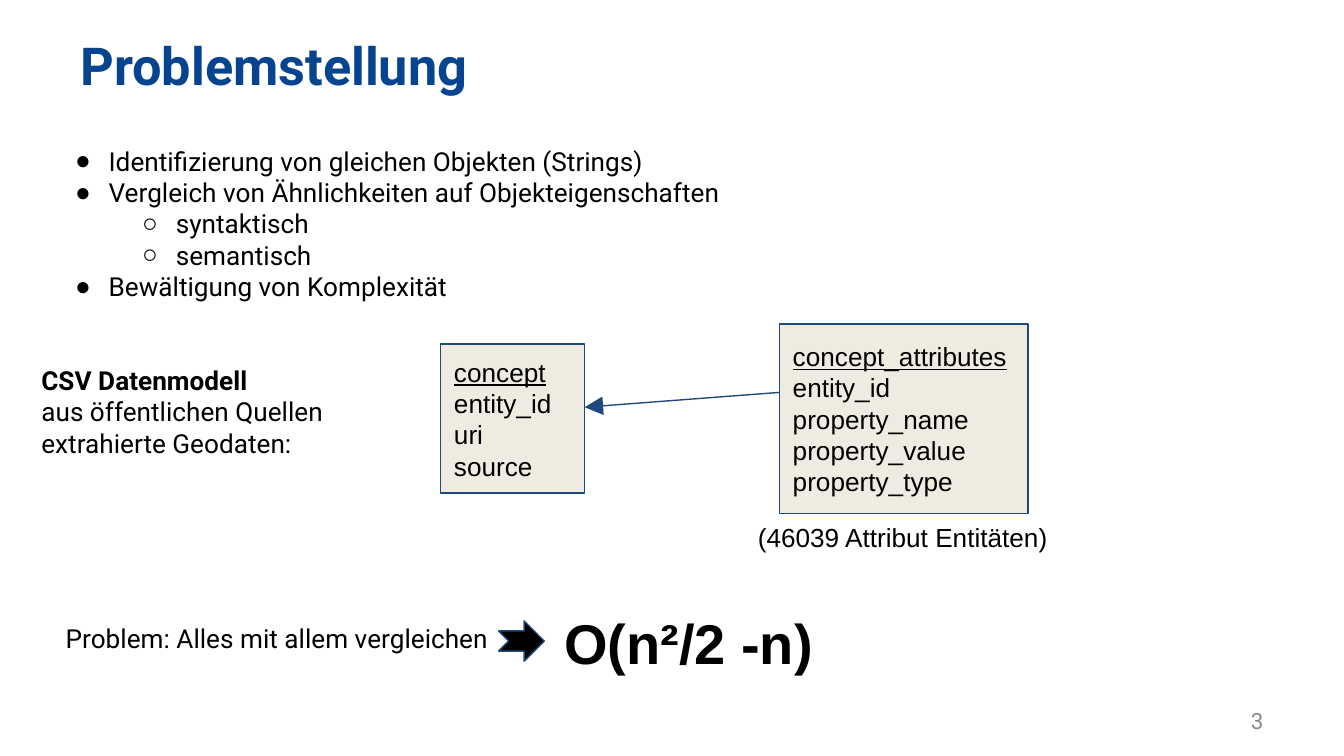
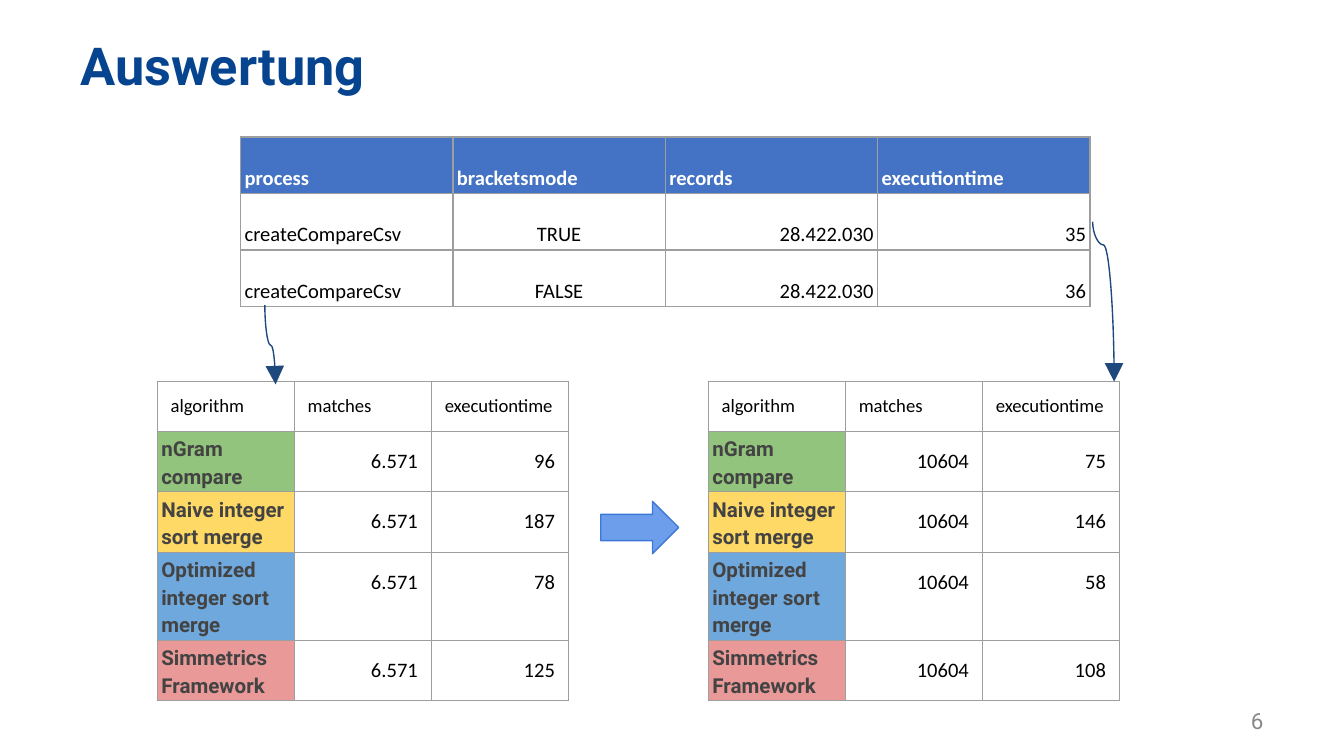
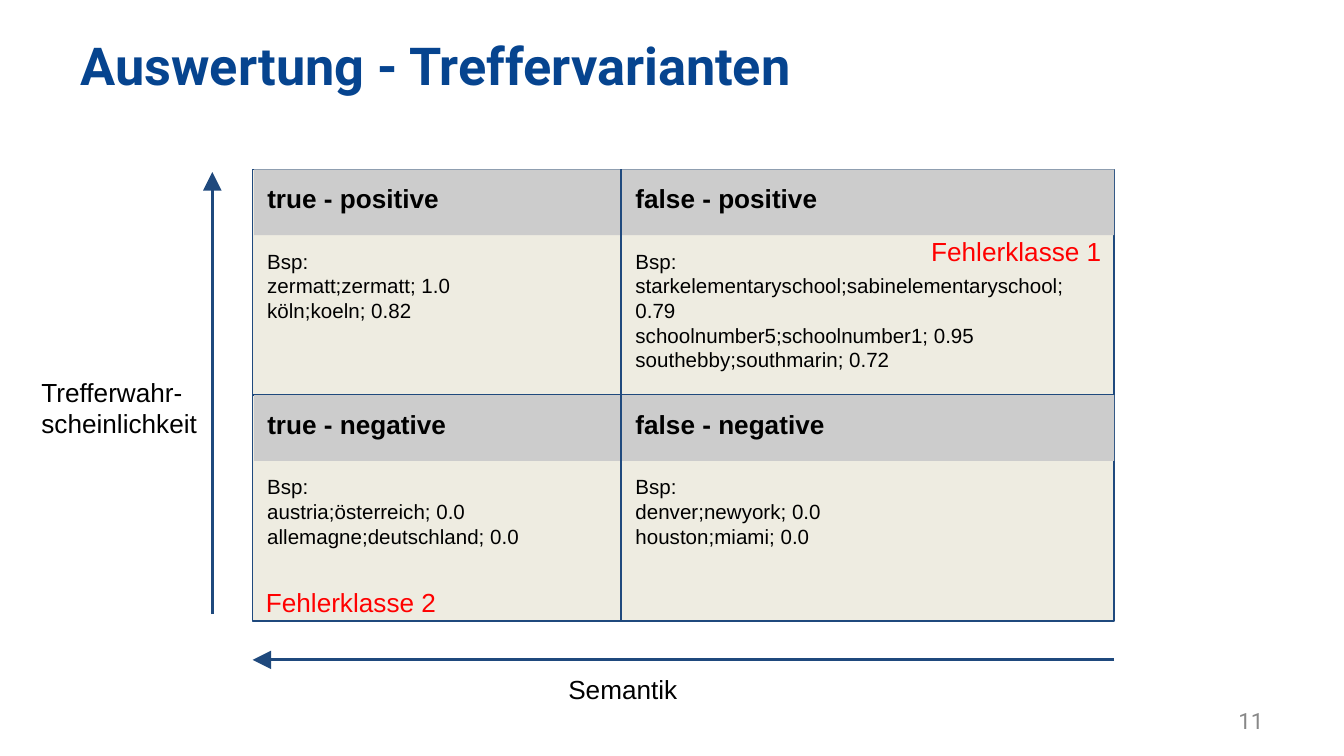
from dataclasses import dataclass, replace

from lxml import etree
from pptx import Presentation
from pptx.dml.color import RGBColor
from pptx.enum.shapes import MSO_CONNECTOR, MSO_SHAPE
from pptx.enum.text import MSO_ANCHOR, MSO_AUTO_SIZE, PP_ALIGN
from pptx.oxml.ns import qn
from pptx.util import Inches, Pt

LEFT, CENTER, RIGHT = PP_ALIGN.LEFT, PP_ALIGN.CENTER, PP_ALIGN.RIGHT
TOP, MIDDLE, BOTTOM = MSO_ANCHOR.TOP, MSO_ANCHOR.MIDDLE, MSO_ANCHOR.BOTTOM
STRAIGHT, CURVE = MSO_CONNECTOR.STRAIGHT, MSO_CONNECTOR.CURVE
RECTANGLE = MSO_SHAPE.RECTANGLE
RIGHT_ARROW, NOTCHED_ARROW = MSO_SHAPE.RIGHT_ARROW, MSO_SHAPE.NOTCHED_RIGHT_ARROW
NO_AUTOFIT = MSO_AUTO_SIZE.NONE
TITLE_ONLY = 5

COLORS = {
    "title": "06448F",
    "number": "888888",
    "text": "000000",
    "white": "FFFFFF",
    "line": "1F497D",
    "panel": "EEECE1",
    "heading": "CCCCCC",
    "error": "FF0000",
    "border": "9E9E9E",
    "table_head": "4472C4",
    "algorithm": "434343",
    "arrow": "6D9EEB",
    "arrow_line": "3C78D8",
    "green": "93C47D",
    "yellow": "FFD966",
    "blue": "6FA8DC",
    "red": "EA9999",
}


@dataclass(frozen=True)
class Style:
    size: float
    font: str = "Arial"
    color: str = "text"
    bold: bool = False
    align: PP_ALIGN = LEFT
    spacing: float = 1.0


@dataclass(frozen=True)
class Area:
    left: float
    top: float
    width: float
    height: float

    def lengths(self) -> list:
        return [Inches(value) for value in (self.left, self.top, self.width, self.height)]


@dataclass(frozen=True)
class Cell:
    text: str
    style: Style
    fill: str = "white"
    anchor: MSO_ANCHOR = TOP
    insets: tuple = (0.1, 0.1)


@dataclass(frozen=True)
class Quadrant:
    left: float
    top: float
    width: float
    heading: str
    examples: tuple


TITLE = Style(28, "Roboto", "title", True)
NUMBER = Style(12, "Roboto", "number", align=RIGHT)
BODY = Style(14, "Roboto")
LABEL = Style(14)
HEADING = Style(14, bold=True)
EXAMPLE = Style(11)
ERROR = Style(14, color="error")
FORMULA = Style(30, bold=True)
TABLE_HEAD = Style(11, "Calibri", "white", True, spacing=1.15)
TABLE_TEXT = Style(11, "Calibri", spacing=1.15)
TABLE_VALUE = replace(TABLE_TEXT, align=RIGHT)
COLUMN_HEAD = Style(10, "Calibri")
ALGORITHM = Style(11, "Roboto", "algorithm", True, spacing=1.15)
TIGHT = (0.03, 0.02)

ALGORITHMS = (
    ("nGram compare", "green"),
    ("Naive integer sort merge", "yellow"),
    ("Optimized integer sort merge", "blue"),
    ("Simmetrics Framework", "red"),
)


def rgb(name: str) -> RGBColor:
    return RGBColor.from_string(COLORS[name])


def format_text(frame, text: str, style: Style) -> None:
    frame.text = text
    for para in frame.paragraphs:
        para.alignment = style.align
        para.line_spacing = style.spacing
        for span in para.runs:
            span.font.size = Pt(style.size)
            span.font.name = style.font
            span.font.bold = style.bold
            span.font.color.rgb = rgb(style.color)


def fill_frame(frame, text: str, style: Style, anchor=TOP, vertical_inset=0.1) -> None:
    frame.word_wrap = True
    frame.auto_size = NO_AUTOFIT
    frame.vertical_anchor = anchor
    frame.margin_left = frame.margin_right = Inches(0.1)
    frame.margin_top = frame.margin_bottom = Inches(vertical_inset)
    format_text(frame, text, style)


def add_text(page, area: Area, text: str, style: Style, anchor=TOP, vertical_inset=0.1):
    box = page.shapes.add_textbox(*area.lengths())
    fill_frame(box.text_frame, text, style, anchor, vertical_inset)
    return box


def add_figure(page, kind, area: Area, fill: str, line: str = ""):
    figure = page.shapes.add_shape(kind, *area.lengths())
    figure.shadow.inherit = False
    figure.fill.solid()
    figure.fill.fore_color.rgb = rgb(fill)
    if line:
        figure.line.color.rgb = rgb(line)
        figure.line.width = Pt(0.75)
    else:
        figure.line.fill.background()
    return figure


def add_arrow(page, start: tuple, end: tuple, width: float, kind=STRAIGHT):
    arrow = page.shapes.add_connector(kind, *(Inches(value) for value in start + end))
    arrow.line.color.rgb = rgb("line")
    arrow.line.width = Pt(width)
    properties = arrow.element.spPr
    outline = properties.find(qn("a:ln"))
    etree.SubElement(outline, qn("a:tailEnd"), type="triangle", w="lg", len="lg")
    etree.SubElement(properties, qn("a:effectLst"))
    return arrow


def add_drop_curve(page, start: tuple, end: tuple, bend: int) -> None:
    middle_x, middle_y = (start[0] + end[0]) / 2, (start[1] + end[1]) / 2
    half_drop, half_shift = (end[1] - start[1]) / 2, (end[0] - start[0]) / 2
    curve = add_arrow(
        page,
        (middle_x + half_drop, middle_y - half_shift),
        (middle_x - half_drop, middle_y + half_shift),
        0.75,
        CURVE,
    )
    properties = curve.element.spPr
    properties.find(qn("a:xfrm")).set("rot", str(270 * 60000))
    guides = properties.find(qn("a:prstGeom")).find(qn("a:avLst"))
    etree.SubElement(guides, qn("a:gd"), name="adj1", fmla=f"val {bend}")


def add_bullet(para, level: int) -> None:
    para.level = level
    properties = para._p.get_or_add_pPr()
    properties.set("marL", str(Inches(0.5 * (level + 1))))
    properties.set("indent", str(Inches(-0.25)))
    etree.SubElement(properties, qn("a:buFont"), typeface="Arial")
    etree.SubElement(properties, qn("a:buChar"), char="●○"[level])


def add_borders(cell) -> None:
    properties = cell._tc.get_or_add_tcPr()
    for position, side in enumerate(("lnL", "lnR", "lnT", "lnB")):
        border = etree.Element(qn(f"a:{side}"), w=str(Pt(0.75)))
        fill = etree.SubElement(border, qn("a:solidFill"))
        etree.SubElement(fill, qn("a:srgbClr"), val=COLORS["border"])
        properties.insert(position, border)


def add_grid(page, left: float, top: float, column: float, heights: tuple, rows: list) -> None:
    columns = len(rows[0])
    area = Area(left, top, column * columns, sum(heights))
    table = page.shapes.add_table(len(rows), columns, *area.lengths()).table
    table.first_row = table.horz_banding = False
    for table_column in table.columns:
        table_column.width = Inches(column)
    for row_index, row in enumerate(rows):
        table.rows[row_index].height = Inches(heights[row_index])
        for column_index, entry in enumerate(row):
            cell = table.cell(row_index, column_index)
            cell.fill.solid()
            cell.fill.fore_color.rgb = rgb(entry.fill)
            cell.vertical_anchor = entry.anchor
            cell.margin_left = cell.margin_right = Inches(entry.insets[0])
            cell.margin_top = cell.margin_bottom = Inches(entry.insets[1])
            format_text(cell.text_frame, entry.text, entry.style)
            add_borders(cell)


def add_page(deck, title: str, number: int):
    page = deck.slides.add_slide(deck.slide_layouts[TITLE_ONLY])
    heading = page.shapes.title
    heading.left, heading.top, heading.width, heading.height = Area(0.5, 0.23, 9, 0.5).lengths()
    fill_frame(heading.text_frame, title, TITLE, MIDDLE, 0.05)
    add_text(page, Area(7.17, 5.21, 2.33, 0.3), str(number), NUMBER, MIDDLE, 0.05)
    return page


def add_entity(page, area: Area, fields: tuple) -> None:
    entity = add_figure(page, RECTANGLE, area, "panel", "line")
    fill_frame(entity.text_frame, "\n".join(fields), LABEL, MIDDLE)
    entity.text_frame.paragraphs[0].runs[0].font.underline = True


def build_problem(deck) -> None:
    page = add_page(deck, "Problemstellung", 3)
    goals = (
        ("Identifizierung von gleichen Objekten (Strings)", 0),
        ("Vergleich von Ähnlichkeiten auf Objekteigenschaften", 0),
        ("syntaktisch", 1),
        ("semantisch", 1),
        ("Bewältigung von Komplexität", 0),
    )
    goal_text = "\n".join(text for text, _ in goals)
    box = add_text(page, Area(0.21, 0.98, 9.48, 1.4), goal_text, BODY)
    for para, (_, level) in zip(box.text_frame.paragraphs, goals):
        add_bullet(para, level)

    model_text = "CSV Datenmodell\naus öffentlichen Quellen\nextrahierte Geodaten:"
    model = add_text(page, Area(0.21, 2.61, 2.9, 0.95), model_text, BODY)
    model.text_frame.paragraphs[0].runs[0].font.bold = True

    add_figure(page, NOTCHED_ARROW, Area(3.71, 4.62, 0.34, 0.3), "text", "line")
    add_text(page, Area(4.1, 4.43, 2.17, 0.83), "O(n²/2 -n)", FORMULA)
    add_text(page, Area(0.39, 4.53, 3.42, 0.57), "Problem: Alles mit allem vergleichen", BODY)

    add_entity(page, Area(3.28, 2.56, 1.07, 1.11), ("concept", "entity_id", "uri", "source"))
    attributes = ("concept_attributes", "entity_id", "property_name", "property_value", "property_type")
    add_entity(page, Area(5.8, 2.41, 1.85, 1.41), attributes)
    add_arrow(page, (5.8, 2.92), (4.35, 3.03), 0.75)
    add_text(page, Area(5.54, 3.78, 2.72, 0.5), "(46039 Attribut Entitäten)", LABEL)


def add_result_table(page, left: float, matches: str, times: tuple) -> None:
    rows = [[Cell(text, COLUMN_HEAD) for text in ("algorithm", "matches", "executiontime")]]
    for (name, fill), time in zip(ALGORITHMS, times):
        rows.append([
            Cell(name, ALGORITHM, fill, BOTTOM, TIGHT),
            Cell(matches, TABLE_VALUE),
            Cell(time, TABLE_VALUE),
        ])
    add_grid(page, left, 2.84, 1.02, (0.37, 0.45, 0.45, 0.65, 0.45), rows)


def build_evaluation(deck) -> None:
    page = add_page(deck, "Auswertung", 6)
    names = ("process", "bracketsmode", "records", "executiontime")
    rows = [[Cell(name, TABLE_HEAD, "table_head", BOTTOM, TIGHT) for name in names]]
    aligns = (LEFT, CENTER, RIGHT, RIGHT)
    for mode, time in (("TRUE", "35"), ("FALSE", "36")):
        values = ("createCompareCsv", mode, "28.422.030", time)
        rows.append([
            Cell(value, replace(TABLE_TEXT, align=align), "white", BOTTOM, TIGHT)
            for value, align in zip(values, aligns)
        ])
    add_grid(page, 1.79, 1.02, 1.58, (0.42,) * 3, rows)
    add_result_table(page, 1.17, "6.571", ("96", "187", "78", "125"))
    add_result_table(page, 5.27, "10604", ("75", "146", "58", "108"))
    add_figure(page, RIGHT_ARROW, Area(4.47, 3.73, 0.58, 0.39), "arrow", "arrow_line")
    add_drop_curve(page, (1.97, 2.27), (2.05, 2.86), 50000)
    add_drop_curve(page, (8.13, 1.65), (8.29, 2.84), 14500)


def add_quadrant(page, quadrant: Quadrant) -> None:
    left, top, width = quadrant.left, quadrant.top, quadrant.width
    add_figure(page, RECTANGLE, Area(left, top, width, 1.68), "panel", "line")
    examples = "\n".join(("Bsp:",) + quadrant.examples)
    add_text(page, Area(left + 0.01, top + 0.49, width, 0.94), examples, EXAMPLE)
    band = add_figure(page, RECTANGLE, Area(left + 0.01, top, width - 0.01, 0.49), "heading")
    fill_frame(band.text_frame, quadrant.heading, HEADING)


def build_variants(deck) -> None:
    page = add_page(deck, "Auswertung - Treffervarianten", 11)
    add_arrow(page, (8.29, 4.91), (1.88, 4.91), 1.5)
    add_arrow(page, (1.58, 4.57), (1.58, 1.28), 1.5)
    add_text(page, Area(0.21, 2.7, 1.37, 0.61), "Trefferwahr-\nscheinlichkeit", LABEL)
    add_text(page, Area(4.13, 4.91, 1.29, 0.36), "Semantik", LABEL)

    true_side, false_side = (1.88, 2.76), (4.62, 3.67)
    quadrants = (
        (true_side, 1.26, "true - positive", ("zermatt;zermatt; 1.0", "köln;koeln; 0.82")),
        (false_side, 1.26, "false - positive", (
            "starkelementaryschool;sabinelementaryschool; 0.79",
            "schoolnumber5;schoolnumber1; 0.95",
            "southebby;southmarin; 0.72",
        )),
        (true_side, 2.94, "true - negative", ("austria;österreich; 0.0", "allemagne;deutschland; 0.0")),
        (false_side, 2.94, "false - negative", ("denver;newyork; 0.0", "houston;miami; 0.0")),
    )
    for (left, width), top, heading, examples in quadrants:
        add_quadrant(page, Quadrant(left, top, width, heading, examples))
    add_text(page, Area(1.88, 4.26, 2.08, 0.36), "Fehlerklasse 2", ERROR)
    add_text(page, Area(6.83, 1.65, 1.58, 0.36), "Fehlerklasse 1", ERROR)


def main() -> None:
    deck = Presentation()
    deck.slide_width = Inches(10)
    deck.slide_height = deck.slide_width * 9 // 16
    build_problem(deck)
    build_evaluation(deck)
    build_variants(deck)
    deck.save("out.pptx")


if __name__ == "__main__":
    main()
